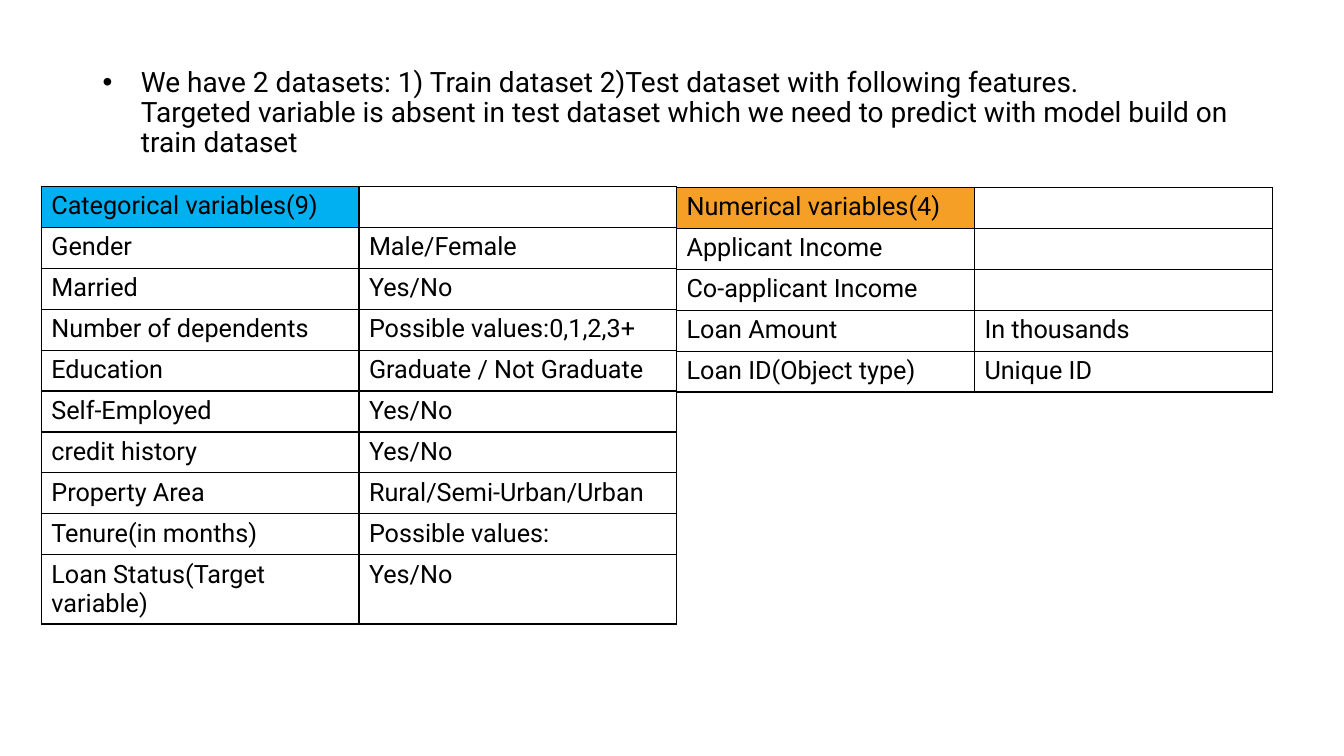
from lxml import etree
from pptx import Presentation
from pptx.dml.color import RGBColor
from pptx.enum import text
from pptx.oxml import ns
from pptx.util import Inches, Pt

FONT = "Roboto"
BLACK = RGBColor(0x00, 0x00, 0x00)
BLUE = RGBColor(0x00, 0xB0, 0xF0)
ORANGE = RGBColor(0xF5, 0x9F, 0x26)

INTRO = (
    "We have 2 datasets: 1) Train dataset 2)Test dataset with following features.\v"
    "Targeted variable is absent in test dataset which we need to predict "
    "with model build on train dataset"
)
CATEGORICAL = [
    ("Categorical variables(9)", ""),
    ("Gender", "Male/Female"),
    ("Married", "Yes/No"),
    ("Number of dependents", "Possible values:0,1,2,3+"),
    ("Education", "Graduate / Not Graduate"),
    ("Self-Employed", "Yes/No"),
    ("credit history", "Yes/No"),
    ("Property Area", "Rural/Semi-Urban/Urban"),
    ("Tenure(in months)", "Possible values:"),
    ("Loan Status(Target variable)", "Yes/No"),
]
NUMERICAL = [
    ("Numerical variables(4)", ""),
    ("Applicant Income", ""),
    ("Co-applicant Income", ""),
    ("Loan Amount", "In thousands"),
    ("Loan ID(Object type)", "Unique ID"),
]


def format_runs(para, size):
    for span in para.runs:
        span.font.name = FONT
        span.font.size = Pt(size)
        span.font.color.rgb = BLACK


def add_borders(cell):
    properties = cell._tc.get_or_add_tcPr()
    for index, side in enumerate(("lnL", "lnR", "lnT", "lnB")):
        line = etree.Element(ns.qn(f"a:{side}"), w=str(Pt(1)))
        fill = etree.SubElement(line, ns.qn("a:solidFill"))
        etree.SubElement(fill, ns.qn("a:srgbClr"), val=str(BLACK))
        properties.insert(index, line)


def add_intro(slide, left, top, width, height):
    box = slide.shapes.add_textbox(
        Inches(left), Inches(top), Inches(width), Inches(height)
    )
    frame = box.text_frame
    frame.word_wrap = True
    frame.vertical_anchor = text.MSO_ANCHOR.MIDDLE
    para = frame.paragraphs[0]
    para.text = INTRO
    para.line_spacing = 0.9
    format_runs(para, 20)
    properties = para._p.get_or_add_pPr()
    properties.set("marL", str(Inches(0.38)))
    properties.set("indent", str(Inches(-0.38)))
    etree.SubElement(properties, ns.qn("a:buFont"), typeface="Arial")
    etree.SubElement(properties, ns.qn("a:buChar"), char="•")


def add_variables(slide, rows, heading_color, left, top, width, height):
    table = slide.shapes.add_table(
        len(rows), 2, Inches(left), Inches(top), Inches(width), Inches(height)
    ).table
    table.first_row = False
    table.horz_banding = False
    for row_index, row in enumerate(rows):
        for column_index, label in enumerate(row):
            cell = table.cell(row_index, column_index)
            if label:
                cell.text = label
            format_runs(cell.text_frame.paragraphs[0], 18)
            cell.fill.background()
            add_borders(cell)
    heading = table.cell(0, 0)
    heading.fill.solid()
    heading.fill.fore_color.rgb = heading_color


def main():
    deck = Presentation()
    deck.slide_width = Inches(13.33)
    deck.slide_height = Inches(7.5)
    slide = deck.slides.add_slide(deck.slide_layouts[6])
    add_variables(slide, CATEGORICAL, BLUE, 0.41, 1.85, 6.3, 4.06)
    add_variables(slide, NUMERICAL, ORANGE, 6.71, 1.86, 5.91, 2.03)
    add_intro(slide, 0.92, 0.4, 11.5, 1.45)
    deck.save("out.pptx")


if __name__ == "__main__":
    main()
